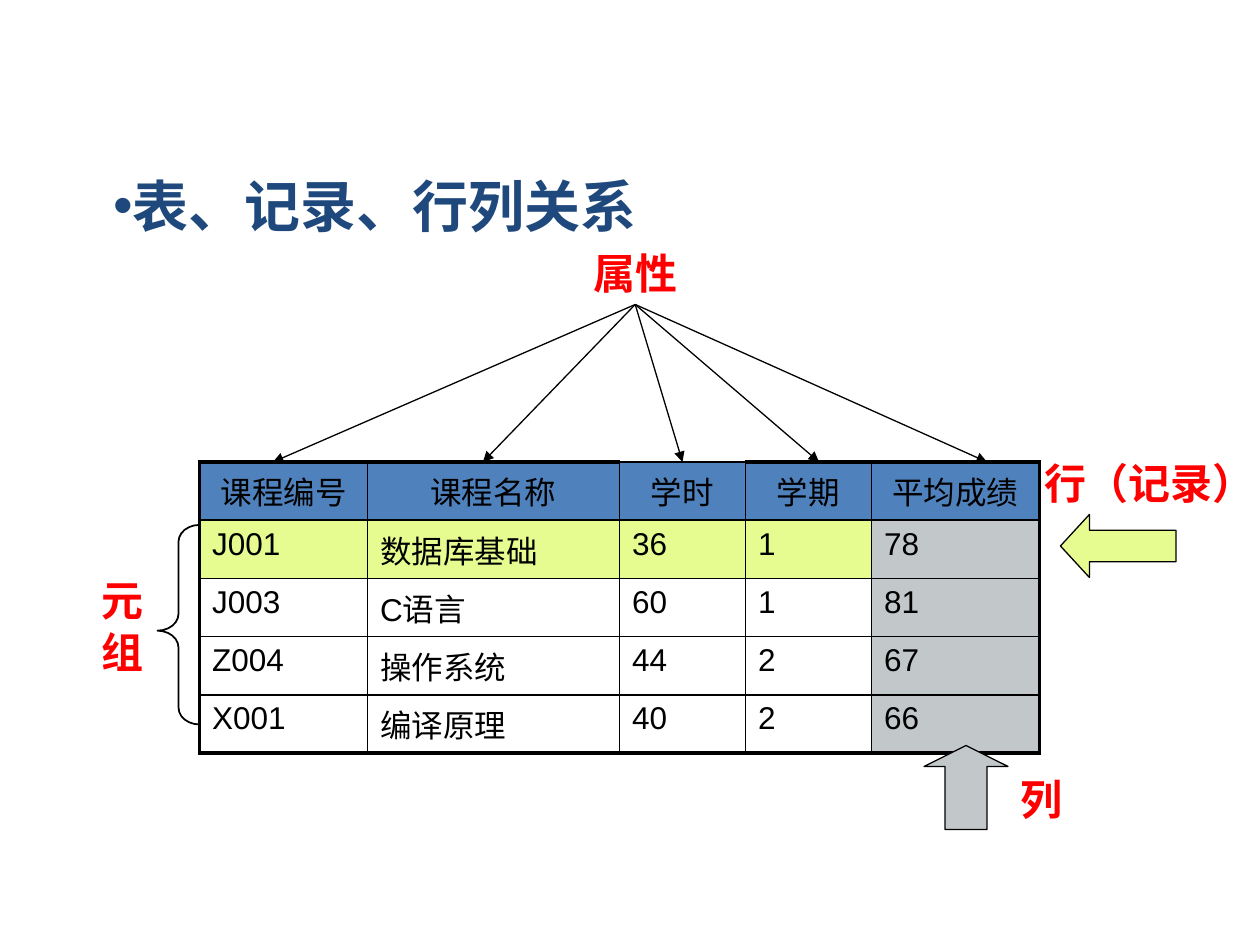
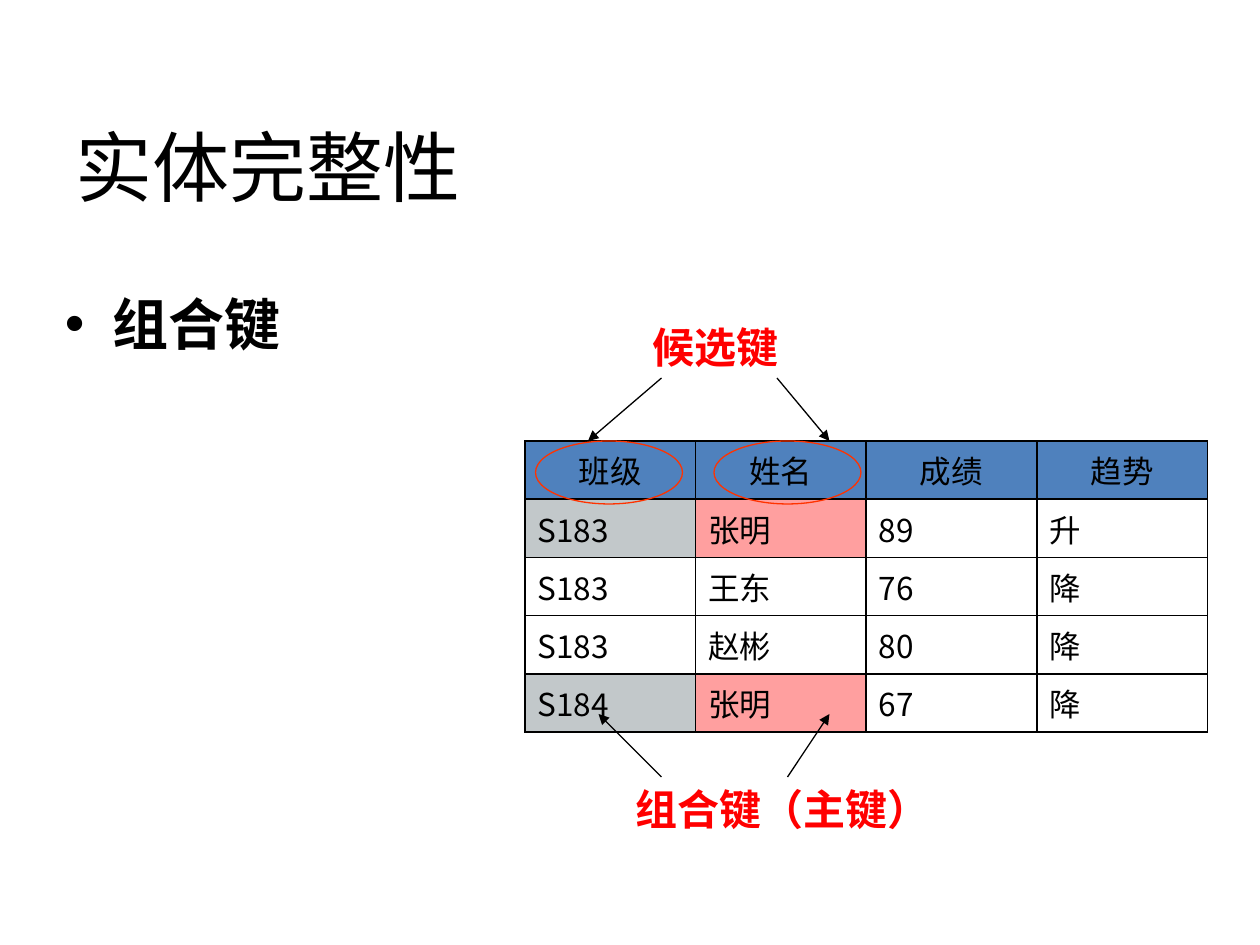
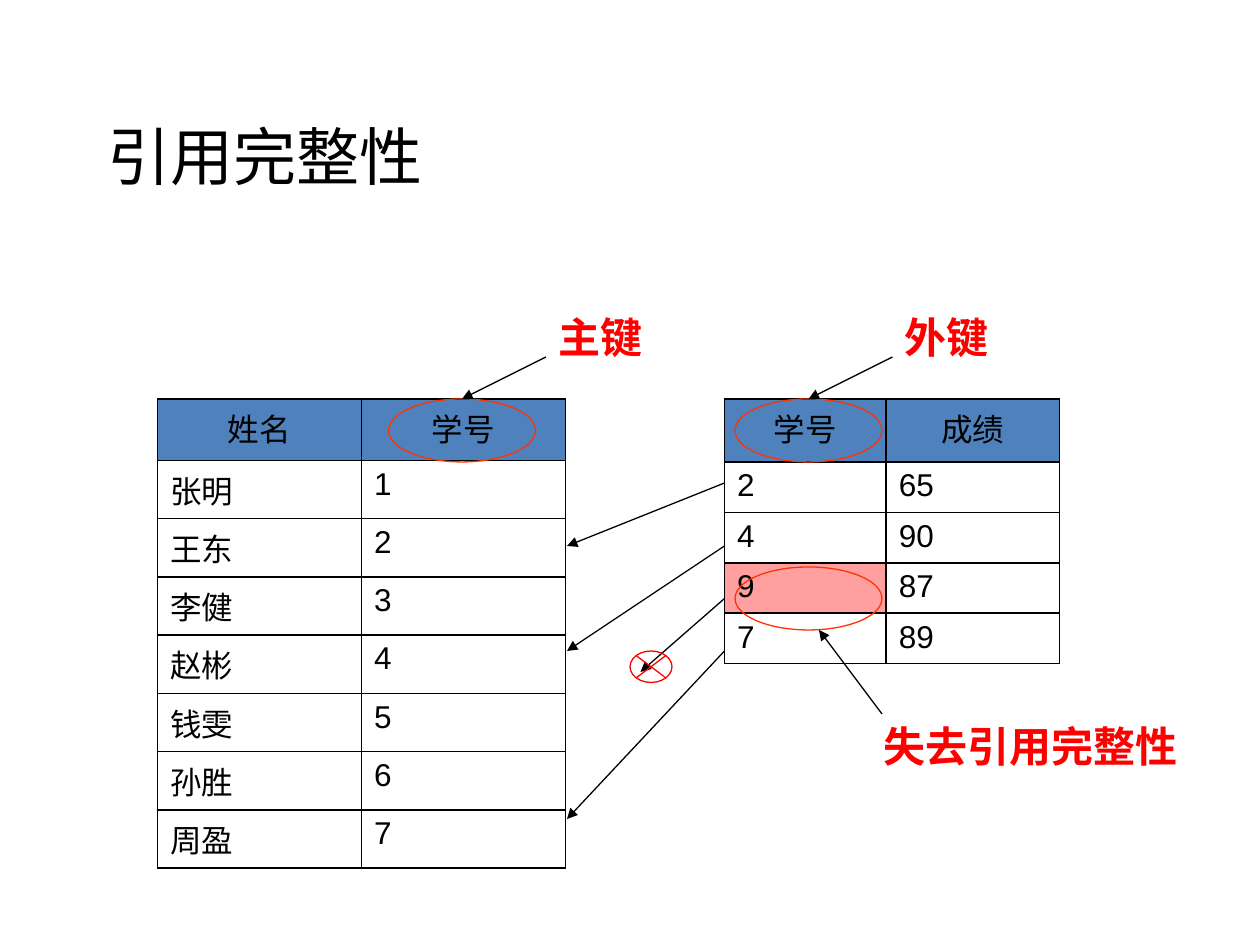
import pptx
import pptx.util
import pptx.dml.color
import pptx.enum.shapes
import pptx.enum.text
import pptx.oxml.ns
import lxml.etree

SHAPE = pptx.enum.shapes.MSO_SHAPE
ALIGN = pptx.enum.text.PP_ALIGN
ANCHOR = pptx.enum.text.MSO_ANCHOR
qn = pptx.oxml.ns.qn

# Shared look
BLACK, RED, RING = "000000", "FF0000", "FF3300"
BLUE, NAVY = "4F81BD", "1F497D"
LIME, GREY, PINK = "E7FC90", "C2C8CA", "FF9F9F"
HAN = "Noto Sans CJK SC"

# Slide grid: 120 columns by 90 rows
WIDE, HIGH = pptx.util.Inches(10), pptx.util.Inches(7.5)
LINE = 5.55  # rows taken by one table line


def across(cols):
    return int(WIDE * cols / 120)


def down(rows):
    return int(HIGH * rows / 90)


def place(box):
    x, y, w, h = box
    return across(x), down(y), across(w), down(h)


def hue(code):
    return pptx.dml.color.RGBColor.from_string(code)


def add_sub(parent, tag, **attrs):
    return lxml.etree.SubElement(parent, qn(tag), attrs)


# Text
def ink(para, size, font, color=BLACK, bold=False, align=None):
    para.alignment = align
    for run in para.runs:
        run.font.size = pptx.util.Pt(size)
        run.font.name = font
        run.font.bold = bold
        run.font.color.rgb = hue(color)
        add_sub(run.font._element, "a:ea", typeface=HAN)


def label(slide, box, text, font, size=24, color=RED, align=None,
          anchor=ANCHOR.TOP, wrap=True, space=None):
    shape = slide.shapes.add_textbox(*place(box))
    frame = shape.text_frame
    frame.text = text
    frame.word_wrap = wrap
    frame.auto_size = pptx.enum.text.MSO_AUTO_SIZE.NONE
    frame.vertical_anchor = anchor
    para = frame.paragraphs[0]
    para.line_spacing = space
    ink(para, size, font, color, True, align)
    return shape


def bullet(shape, hang=0):
    props = shape.text_frame.paragraphs[0]._p.get_or_add_pPr()
    props.set("marL", str(across(hang)))
    props.set("indent", str(-across(hang)))
    add_sub(props, "a:buFont", typeface="Arial")
    add_sub(props, "a:buChar", char="•")


def title(slide, box, text, size, font):
    shape = slide.shapes.title
    shape.left, shape.top, shape.width, shape.height = place(box)
    frame = shape.text_frame
    frame.text = text
    frame.vertical_anchor = ANCHOR.MIDDLE
    ink(frame.paragraphs[0], size, font, align=ALIGN.LEFT)


# Shapes and lines
def figure(slide, kind, box, fill=None, line=BLACK, width=0.75, adjust=()):
    shape = slide.shapes.add_shape(kind, *place(box))
    shape.shadow.inherit = False
    if fill:
        shape.fill.solid()
        shape.fill.fore_color.rgb = hue(fill)
    else:
        shape.fill.background()
    shape.line.color.rgb = hue(line)
    shape.line.width = pptx.util.Pt(width)
    for i, share in enumerate(adjust):
        shape.adjustments[i] = share
    return shape


def ring(slide, x, y):
    return figure(slide, SHAPE.OVAL, (x, y, 14, 6), line=RING)


def arrow(slide, start, end):
    link = slide.shapes.add_connector(
        pptx.enum.shapes.MSO_CONNECTOR.STRAIGHT,
        across(start[0]), down(start[1]), across(end[0]), down(end[1]))
    link.line.color.rgb = hue(BLACK)
    link.line.width = pptx.util.Pt(0.75)
    add_sub(link.line._get_or_add_ln(), "a:tailEnd", type="triangle")
    add_sub(link._element.spPr, "a:effectLst")
    return link


# Tables
def border(cell, widths):
    props = cell._tc.get_or_add_tcPr()
    for i, (side, width) in enumerate(zip("LRTB", widths)):
        edge = lxml.etree.Element(qn("a:ln" + side),
                                  w=str(pptx.util.Pt(width)))
        fill = add_sub(edge, "a:solidFill")
        add_sub(fill, "a:srgbClr", val=BLACK)
        props.insert(i, edge)


def table(slide, spot, cols, rows, data, tints, fonts,
          anchor=ANCHOR.TOP, rim=1, thin=()):
    """Fill a table; tints maps (row, column) to a fill, thin lists
    the header columns whose top edge is not widened to the rim."""
    box = (*spot, sum(cols), sum(rows))
    grid = slide.shapes.add_table(len(rows), len(cols), *place(box)).table
    grid.first_row = grid.horz_banding = False
    for col, width in zip(grid.columns, cols):
        col.width = across(width)
    for row, height in zip(grid.rows, rows):
        row.height = down(height)
    for r, texts in enumerate(data):
        for c, text in enumerate(texts):
            cell = grid.cell(r, c)
            cell.text = text
            tint = BLUE if r == 0 else tints.get((r, c))
            if tint:
                cell.fill.solid()
                cell.fill.fore_color.rgb = hue(tint)
            else:
                cell.fill.background()
            cell.vertical_anchor = anchor if r else ANCHOR.TOP
            ink(cell.text_frame.paragraphs[0], 18, fonts[c],
                align=None if r else ALIGN.CENTER)
            outer = (c == 0, c == len(cols) - 1,
                     r == 0 and c not in thin, r == len(rows) - 1)
            border(cell, [rim if out else 1 for out in outer])


# Slide 1: regions around the course table
def course(slide, x, y):
    data = [("课程编号", "课程名称", "学时", "学期", "平均成绩"),
            ("J001", "数据库基础", "36", "1", "78"),
            ("J003", "C语言", "60", "1", "81"),
            ("Z004", "操作系统", "44", "2", "67"),
            ("X001", "编译原理", "40", "2", "66")]
    tints = {(1, c): LIME for c in range(4)}
    tints.update({(r, 4): GREY for r in range(1, 5)})
    table(slide, (x, y), (16, 24, 12, 12, 16), [LINE] * 5, data, tints,
          ["Arial"] * 5, rim=2.25, thin=(2,))


def fan(slide, x, y):
    head = label(slide, (x, y, 11, 6), "属性", "Times New Roman",
                 align=ALIGN.CENTER, anchor=ANCHOR.MIDDLE, wrap=False)
    for step in (-29, -9, 10, 23, 39):
        link = arrow(slide, (x + 5.5, y + 6), (x + step, y + 21))
        link.begin_connect(head, 2)


def tuples(slide, x, y):
    side = label(slide, (x, y + 4, 7.2, 15), "元 组", HAN)
    side.text_frame._txBody.bodyPr.set("vert", "eaVert")
    figure(slide, SHAPE.LEFT_BRACE, (x + 7.7, y, 4, 19), width=1,
           adjust=(0.4, 0.53))


def record(slide, x, y):
    figure(slide, SHAPE.LEFT_ARROW, (x, y + 6, 11, 6), LIME,
           adjust=(0.5, 0.46))
    label(slide, (x + 1, y, 15, 6), "行（记录）", "Times New Roman",
          align=ALIGN.CENTER, anchor=ANCHOR.MIDDLE, wrap=False)


def column(slide, x, y):
    figure(slide, SHAPE.UP_ARROW, (x, y, 8, 8), GREY, adjust=(0.5, 0.25))
    label(slide, (x + 8, y + 3, 6, 5), "列", "Arial", space=0.8)


def terms(slide):
    tuples(slide, 7.3, 50)
    course(slide, 19, 44)
    fan(slide, 55, 23)
    record(slide, 101, 43)
    column(slide, 88, 71)
    bullet(label(slide, (9.6, 15.7, 109, 7.6), "表、记录、行列关系", HAN,
                 32, NAVY))


# Slide 2: regions around the class table
def marks(slide, x, y):
    data = [("班级", "姓名", "成绩", "趋势"),
            ("S183", "张明", "89", "升"),
            ("S183", "王东", "76", "降"),
            ("S183", "赵彬", "80", "降"),
            ("S184", "张明", "67", "降")]
    tints = {(r, c): tint for r in (1, 4)
             for c, tint in enumerate((GREY, PINK))}
    table(slide, (x, y), [16.25] * 4, [LINE] * 5, data, tints, [HAN] * 4,
          anchor=ANCHOR.MIDDLE)


def choice(slide, x, y):
    label(slide, (x + 10, y, 17, 6), "候选键", "Cambria",
          anchor=ANCHOR.BOTTOM)
    for start, end, left in ((12, 5, 0), (23, 28, 17)):
        arrow(slide, (x + start, y + 6), (x + end, y + 12))
        ring(slide, x + left, y + 12)


def joint(slide, x, y):
    for start, end in ((7, 1), (19, 23)):
        arrow(slide, (x + start, y + 6), (x + end, y))
    label(slide, (x, y + 6, 37, 6), "组合键（主键）", "Cambria",
          align=ALIGN.CENTER, anchor=ANCHOR.BOTTOM)


def entity(slide):
    title(slide, (6, 8.3, 108, 15), "实体完整性", 44, "Calibri")
    marks(slide, 50, 42)
    choice(slide, 51, 30)
    joint(slide, 56, 68)
    bullet(label(slide, (5, 27, 79, 9), "组合键", "Arial Narrow", 32, BLACK,
                 ALIGN.JUSTIFY), 4.5)


# Slide 3: regions around the two linked tables
def people(slide, x, y):
    names = ("张明", "王东", "李健", "赵彬", "钱雯", "孙胜", "周盈")
    data = [("姓名", "学号")]
    data += [(name, str(i)) for i, name in enumerate(names, 1)]
    table(slide, (x, y), [19.43] * 2, [5.85] + [LINE] * 7, data, {},
          (HAN, "Arial"))


def scores(slide, x, y):
    data = [("学号", "成绩"), ("2", "65"), ("4", "90"), ("9", "87"),
            ("7", "89")]
    table(slide, (x, y), (15.4, 16.5), [6] + [4.8] * 4, data,
          {(3, 0): PINK}, ["Arial"] * 2)


def key(slide, x, y, text):
    oval = ring(slide, x, y + 8)
    arrow(slide, (x + 15, y + 4), (x + 7, y + 8)).end_connect(oval, 0)
    label(slide, (x + 15, y, 11, 5), text, "Arial", space=0.8)


def links(slide, x, y):
    ends = ((0, 0, 6), (6, 0, 16), (11, 7, 18), (16, 0, 32))
    for start, col, row in ends:
        arrow(slide, (x + 15, y + start), (x + col, y + row))
    figure(slide, SHAPE.FLOWCHART_SUMMING_JUNCTION,
           (x + 6, y + 16, 4, 3), line=RED)


def broken(slide, x, y):
    ring(slide, x, y)
    label(slide, (x + 13, y + 14, 31, 6), "失去引用完整性", "Cambria",
          anchor=ANCHOR.BOTTOM)
    arrow(slide, (x + 14, y + 14), (x + 8, y + 6))


def refer(slide):
    title(slide, (9, 5.4, 101, 18.8), "引用完整性", 36, "Arial Narrow")
    people(slide, 15, 38)
    scores(slide, 69, 38)
    key(slide, 70, 30, "外键")
    key(slide, 37, 30, "主键")
    links(slide, 54, 46)
    broken(slide, 70, 54)


def main():
    deck = pptx.Presentation()
    deck.slide_width, deck.slide_height = WIDE, HIGH
    bare, titled = deck.slide_layouts[6], deck.slide_layouts[5]
    for layout, build in ((bare, terms), (titled, entity), (titled, refer)):
        build(deck.slides.add_slide(layout))
    deck.save("out.pptx")


if __name__ == "__main__":
    main()
